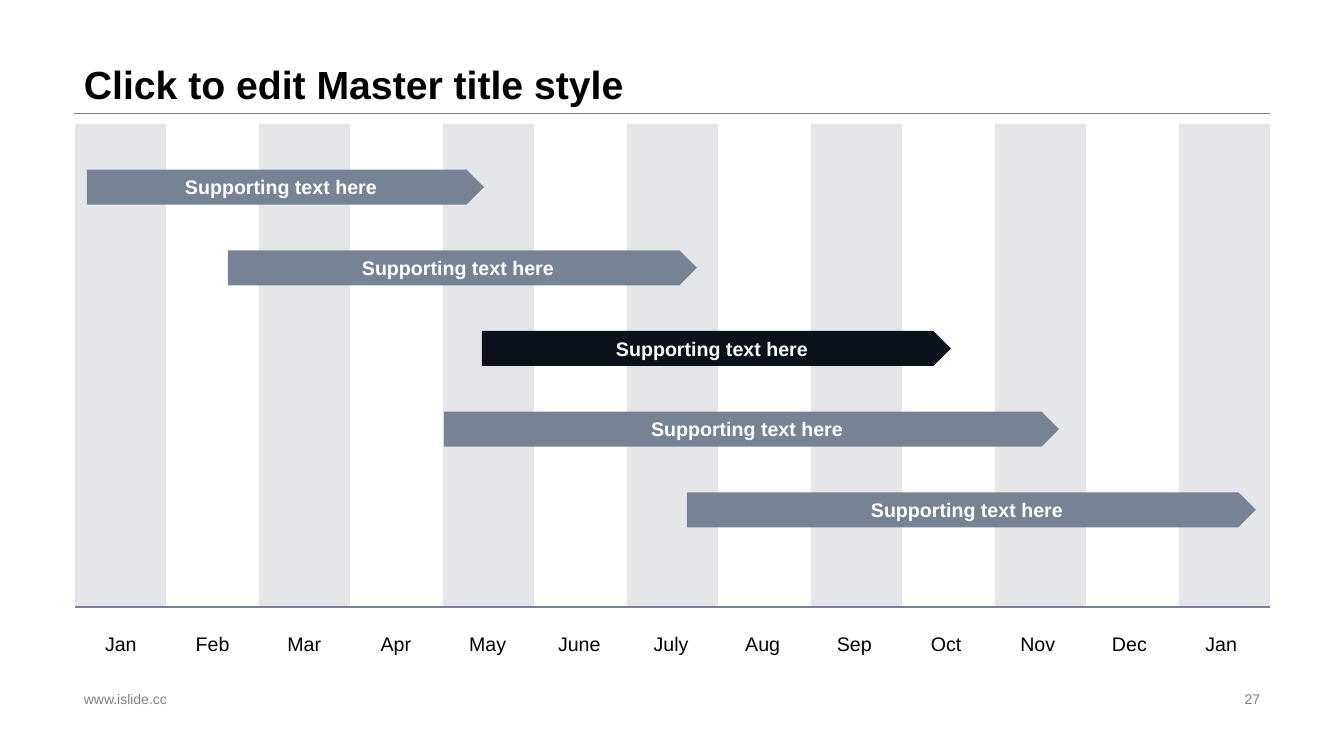
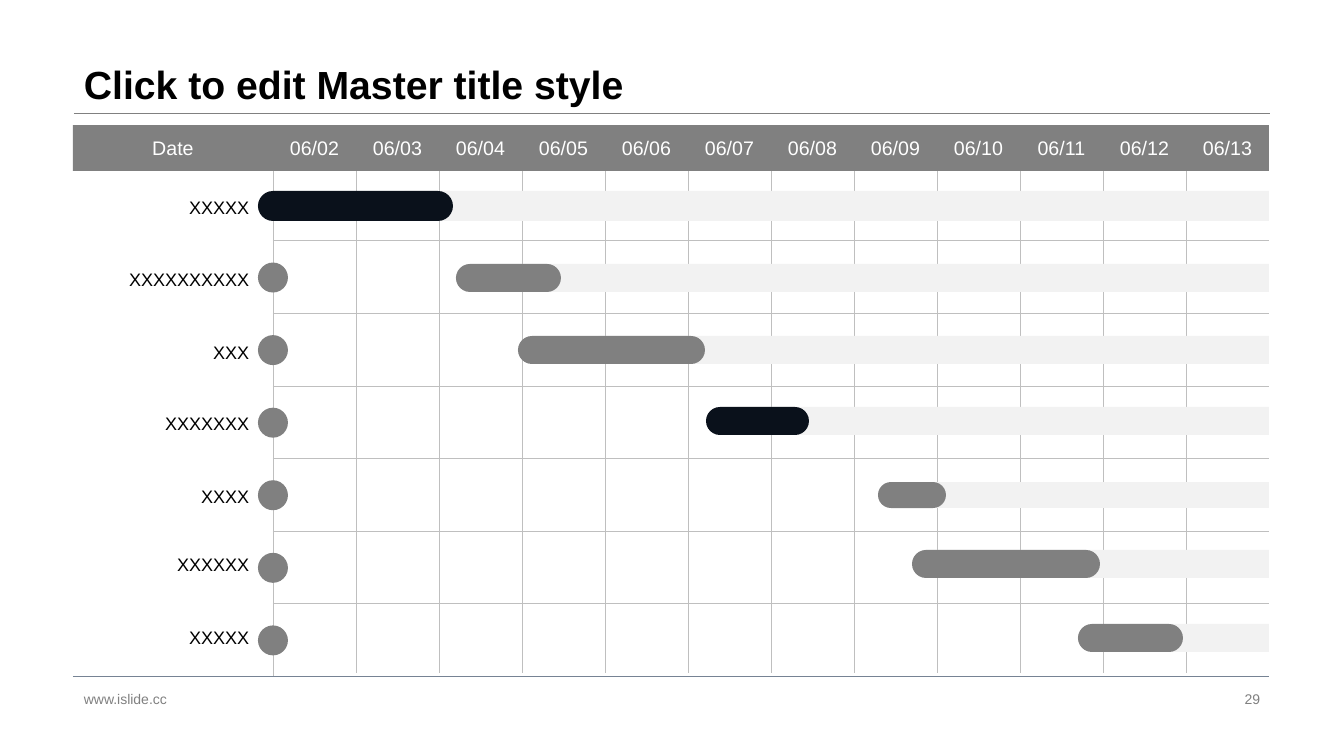
from collections import namedtuple

from lxml import etree
from pptx import Presentation
from pptx.dml.color import RGBColor
from pptx.enum.shapes import MSO_CONNECTOR, MSO_SHAPE
from pptx.enum.text import MSO_ANCHOR, PP_ALIGN
from pptx.oxml.ns import qn
from pptx.util import Pt

EMU_PER_PX = 914400 / 100.8
FONT = "Arial"

BLACK = RGBColor(0x00, 0x00, 0x00)
WHITE = RGBColor(0xFF, 0xFF, 0xFF)
GRAY = RGBColor(0x80, 0x80, 0x80)
GRID_GRAY = RGBColor(0xBF, 0xBF, 0xBF)
TRACK_GRAY = RGBColor(0xF2, 0xF2, 0xF2)
STRIPE = RGBColor(0xE4, 0xE6, 0xEA)
SLATE = RGBColor(0x76, 0x83, 0x94)
NAVY = RGBColor(0x0A, 0x11, 0x1B)

RECT = MSO_SHAPE.RECTANGLE
PILL = MSO_SHAPE.ROUNDED_RECTANGLE
DOT = MSO_SHAPE.OVAL
ARROW_BAR = MSO_SHAPE.PENTAGON
STRAIGHT = MSO_CONNECTOR.STRAIGHT
LEFT, CENTER, RIGHT = PP_ALIGN.LEFT, PP_ALIGN.CENTER, PP_ALIGN.RIGHT
MIDDLE, BOTTOM = MSO_ANCHOR.MIDDLE, MSO_ANCHOR.BOTTOM

Box = namedtuple("Box", "x y w h")
Task = namedtuple("Task", "label label_y bar_x bar_y bar_w bar_h track_x color")

TITLE = "Click to edit Master title style"
FOOTER = "www.islide.cc"
MONTHS = ["Jan", "Feb", "Mar", "Apr", "May", "June", "July",
          "Aug", "Sep", "Oct", "Nov", "Dec", "Jan"]
PHASES = [
    (12, 397, SLATE),
    (153, 469, SLATE),
    (407, 469, NAVY),
    (369, 615, SLATE),
    (612, 569, SLATE),
]
DATES = [f"06/{day:02d}" for day in range(2, 14)]
TASKS = [
    Task("XXXXX", 66, 185, 66, 195, 30, 332, NAVY),
    Task("XXXXXXXXXX", 138, 383, 139, 105, 28, 417, GRAY),
    Task("XXX", 211, 445, 211, 187, 28, 526, GRAY),
    Task("XXXXXXX", 282, 633, 282, 103, 28, 665, NAVY),
    Task("XXXX", 355, 805, 357, 68, 26, 820, GRAY),
    Task("XXXXXX", 423, 839, 425, 188, 28, 851, GRAY),
    Task("XXXXX", 496, 1005, 499, 105, 28, 1056, GRAY),
]


def px(length):
    return round(length * EMU_PER_PX)


def write(shape, text, size, color, align=CENTER, anchor=MIDDLE, bold=False):
    frame = shape.text_frame
    frame.word_wrap = True
    frame.vertical_anchor = anchor
    paragraph = frame.paragraphs[0]
    paragraph.alignment = align
    run = paragraph.add_run()
    run.text = text
    run.font.name = FONT
    run.font.size = Pt(size)
    run.font.bold = bold
    run.font.color.rgb = color
    return paragraph


def add_text(slide, box, text, size, color, **style):
    label = slide.shapes.add_textbox(*map(px, box))
    return write(label, text, size, color, **style)


def add_block(slide, kind, box, color):
    block = slide.shapes.add_shape(kind, *map(px, box))
    block.shadow.inherit = False
    block.fill.solid()
    block.fill.fore_color.rgb = color
    block.line.fill.background()
    return block


def add_line(slide, x1, y1, x2, y2, color, width=0.25):
    line = slide.shapes.add_connector(STRAIGHT, px(x1), px(y1), px(x2), px(y2))
    line.line.color.rgb = color
    line.line.width = Pt(width)
    etree.SubElement(line._element.spPr, qn("a:effectLst"))


def add_frame(deck, number):
    slide = deck.slides.add_slide(deck.slide_layouts[6])
    add_line(slide, 74, 113, 1270, 113, GRAY)
    title = add_text(slide, Box(74, 0, 1196, 113), TITLE, 28, BLACK,
                     align=LEFT, anchor=BOTTOM, bold=True)
    title.line_spacing = 0.9
    add_text(slide, Box(74, 687, 457, 24), FOOTER, 10, GRAY, align=LEFT)
    add_text(slide, Box(950, 687, 320, 24), str(number), 10, GRAY, align=RIGHT)
    return slide


def add_month_chart(slide, box):
    stripe_w, bar_h = 91, 35
    stripe_count = (len(MONTHS) + 1) // 2
    stripe_step = (box.w - stripe_w) / (stripe_count - 1)
    for i in range(stripe_count):
        stripe = Box(box.x + i * stripe_step, box.y, stripe_w, box.h)
        add_block(slide, RECT, stripe, STRIPE)
    bottom = box.y + box.h
    add_line(slide, box.x, bottom - 1, box.x + box.w, bottom - 1, SLATE, 1.5)

    month_w = (box.w - 3) / len(MONTHS)
    for i, month in enumerate(MONTHS):
        add_text(slide, Box(box.x + i * month_w, bottom + 19, month_w, 34),
                 month, 14, BLACK)

    row_h = box.h / (len(PHASES) + 1)
    for i, (x, w, color) in enumerate(PHASES, 1):
        y = box.y + i * row_h - bar_h
        phase = add_block(slide, ARROW_BAR, Box(box.x + x, y, w, bar_h), color)
        write(phase, "Supporting text here", 14, WHITE, bold=True)


def add_day_grid(slide, box, grid_x, rows_y, day_w, row_h):
    right, bottom = box.x + box.w, box.y + box.h
    for i in range(1, len(TASKS)):
        y = rows_y + i * row_h
        add_line(slide, grid_x, y, right, y, GRID_GRAY)
    add_line(slide, box.x, bottom, right, bottom, SLATE)
    for i in range(len(DATES)):
        x = grid_x + i * day_w
        add_line(slide, x, rows_y, x, bottom - 3 if i else bottom, GRID_GRAY)


def add_day_chart(slide, box):
    label_w, header_h, dot = 200, 46, 30
    grid_x = box.x + label_w
    rows_y = box.y + 43
    day_w = (box.w - label_w) / len(DATES)
    row_h = (box.h - 43) / len(TASKS)
    add_day_grid(slide, box, grid_x, rows_y, day_w, row_h)

    add_block(slide, RECT, Box(box.x, box.y, box.w, header_h), GRAY)
    add_text(slide, Box(box.x, box.y, label_w, header_h), "Date", 14, WHITE)
    for i, date in enumerate(DATES):
        add_text(slide, Box(grid_x + i * day_w, box.y, day_w, header_h),
                 date, 14, WHITE)

    for i, task in enumerate(TASKS):
        add_text(slide, Box(box.x, box.y + task.label_y, label_w - 14, 32),
                 task.label, 12.9, BLACK, align=RIGHT)
        bar_y = box.y + task.bar_y
        track = Box(box.x + task.track_x, bar_y, box.w - task.track_x, task.bar_h)
        add_block(slide, RECT, track, TRACK_GRAY)
        if task.bar_x > label_w:
            dot_y = rows_y + i * row_h + 22
            add_block(slide, DOT, Box(grid_x - dot / 2, dot_y, dot, dot), GRAY)
        bar = add_block(slide, PILL,
                        Box(box.x + task.bar_x, bar_y, task.bar_w, task.bar_h),
                        task.color)
        bar.adjustments[0] = 0.5


def main():
    deck = Presentation()
    deck.slide_width, deck.slide_height = px(1344), px(756)
    add_month_chart(add_frame(deck, 27), Box(75, 124, 1195, 484))
    add_day_chart(add_frame(deck, 29), Box(73, 125, 1196, 551))
    deck.save("out.pptx")


if __name__ == "__main__":
    main()
